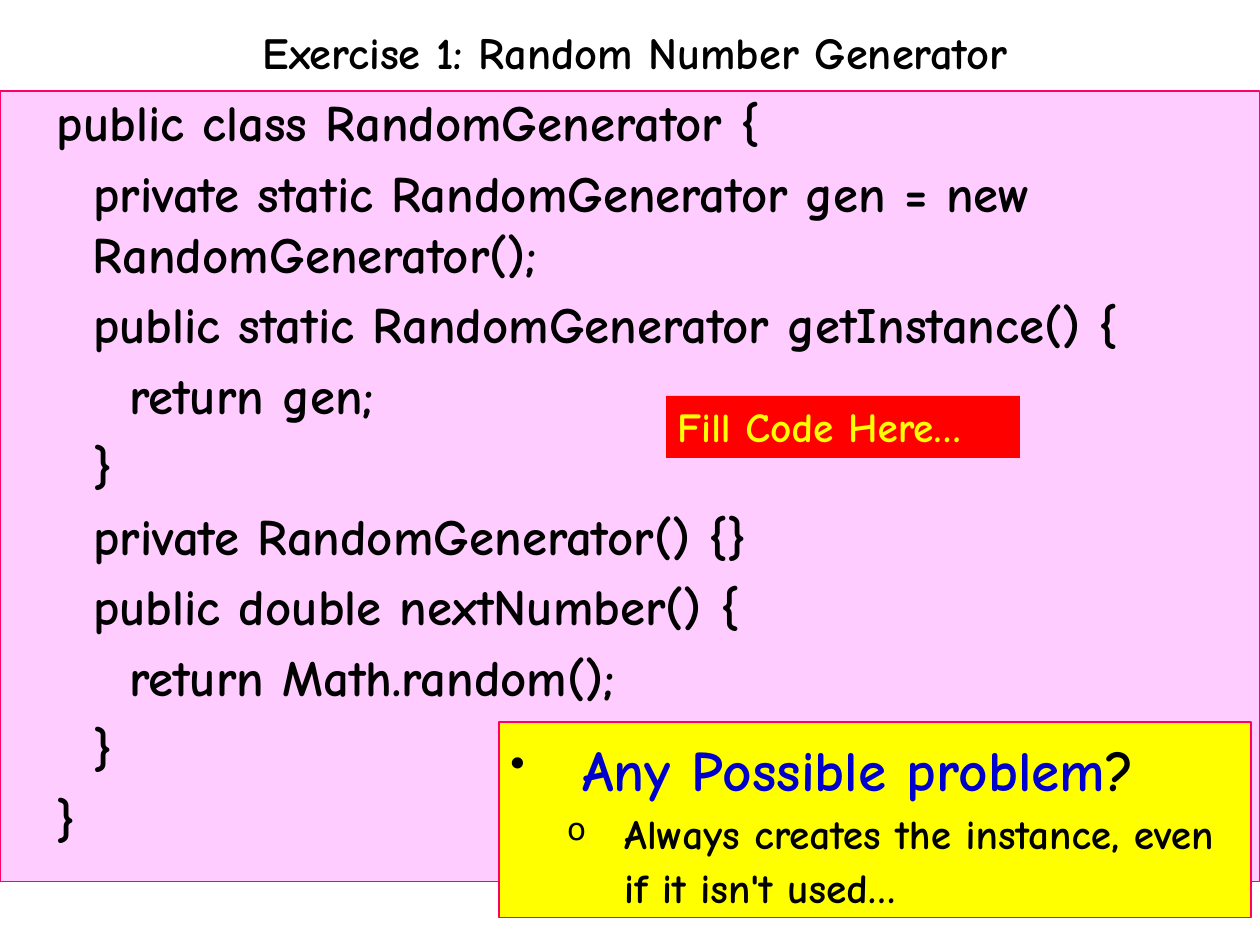
from lxml import etree
from pptx import Presentation, util as u
from pptx.dml.color import RGBColor
from pptx.enum import shapes, text
from pptx.oxml.ns import qn

PX = 8000
CODE = """public class RandomGenerator {
  private static RandomGenerator gen = new RandomGenerator();
  public static RandomGenerator getInstance() {
    return gen;
  }
  private RandomGenerator() {}
  public double nextNumber() {
    return Math.random();
  }
}"""


def style(font, size, color):
    font.name = "Comic Neue"
    font.size = u.Pt(size)
    font.bold = True
    font.color.rgb = RGBColor.from_string(color)


def panel(x, y, w, h, fill, line):
    box = slide.shapes.add_shape(shapes.MSO_SHAPE.RECTANGLE, *[v * PX for v in (x, y, w, h)])
    box.shadow.inherit = False
    box.fill.solid()
    box.fill.fore_color.rgb = RGBColor.from_string(fill)
    if line:
        box.line.color.rgb = RGBColor.from_string(line)
        box.line.width = u.Pt(0.75)
    else:
        box.line.fill.background()
    frame = box.text_frame
    frame.word_wrap = True
    frame.vertical_anchor = text.MSO_ANCHOR.TOP
    return frame


deck = Presentation()
deck.slide_width, deck.slide_height = 1260 * PX, 945 * PX
slide = deck.slides.add_slide(deck.slide_layouts[5])

code = panel(0, 91, 1260, 791, "FFCCFF", "FF0066")
code.margin_left = code.margin_right = code.margin_top = code.margin_bottom = 0
for i, line in enumerate(CODE.split("\n")):
    para = code.add_paragraph() if i else code.paragraphs[0]
    para.text = line
    para.alignment = text.PP_ALIGN.LEFT
    para.space_before = u.Pt(6 if i else 0)
    prop = para._p.get_or_add_pPr()
    prop.set("marL", str(93 * PX))
    prop.set("indent", str(-36 * PX))
    style(para.font, 32, "000000")

title = slide.shapes.title
title.left, title.top, title.width, title.height = [v * PX for v in (49, 0, 1172, 111)]
head = title.text_frame
head.text = "Exercise 1: Random Number Generator"
head.auto_size = text.MSO_AUTO_SIZE.NONE
head.vertical_anchor = text.MSO_ANCHOR.MIDDLE
head.margin_left = head.margin_right = head.margin_top = head.margin_bottom = 0
para = head.paragraphs[0]
para.alignment = text.PP_ALIGN.CENTER
para.line_spacing = 0.88
style(para.font, 28, "000000")

note = panel(499, 722, 752, 196, "FFFF00", "FF0066")
ask, answer = note.paragraphs[0], note.add_paragraph()
answer.level = 1
for para, mark, left, hang in ((ask, "•", 72, 72), (answer, "o", 114, 57)):
    para.alignment = text.PP_ALIGN.LEFT
    para.line_spacing = 1.1
    para.space_before = u.Pt(0)
    prop = para._p.get_or_add_pPr()
    prop.set("marL", str(left * PX))
    prop.set("indent", str(-hang * PX))
    tint = etree.SubElement(prop, qn("a:buClr"))
    etree.SubElement(tint, qn("a:srgbClr"), val="000000")
    etree.SubElement(prop, qn("a:buSzPct"), val="75000")
    etree.SubElement(prop, qn("a:buChar"), char=mark)
for words, color in (("Any Possible problem", "0000CC"), ("?", "000000")):
    run = ask.add_run()
    run.text = words
    style(run.font, 36, color)
answer.add_run().text = "Always creates the instance, even if it isn't used…"
style(answer.font, 26, "000000")

hint = panel(666, 396, 354, 62, "FF0000", None)
para = hint.paragraphs[0]
para.text = "Fill Code Here…"
para.alignment = text.PP_ALIGN.LEFT
style(para.font, 26, "FFFF00")

deck.save("out.pptx")
